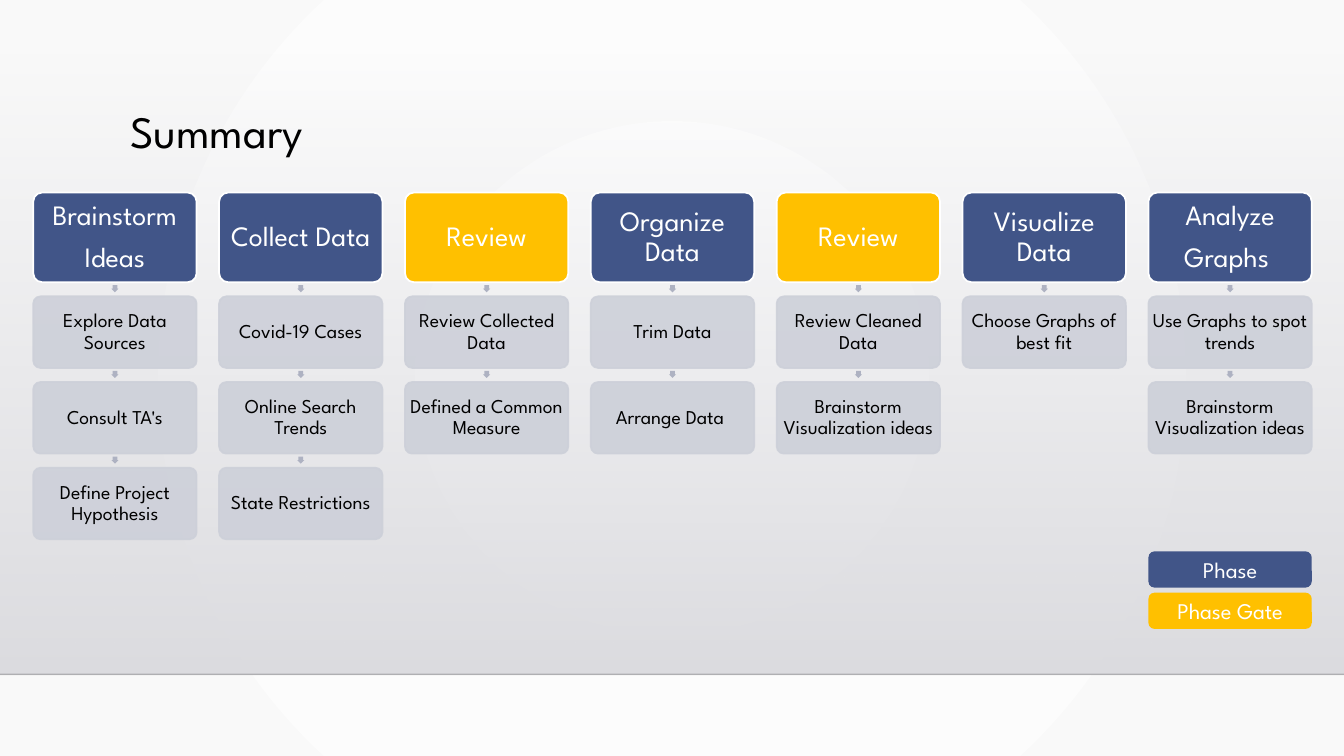
from dataclasses import dataclass

from lxml import etree
from pptx import Presentation
from pptx.dml.color import RGBColor
from pptx.enum.shapes import MSO_CONNECTOR, MSO_SHAPE
from pptx.enum.text import MSO_ANCHOR, MSO_AUTO_SIZE, PP_ALIGN
from pptx.oxml.ns import qn
from pptx.util import Inches, Pt

RECT, ROUND, ARROW = MSO_SHAPE.RECTANGLE, MSO_SHAPE.ROUNDED_RECTANGLE, MSO_SHAPE.RIGHT_ARROW
STRAIGHT = MSO_CONNECTOR.STRAIGHT
TOP, MIDDLE = MSO_ANCHOR.TOP, MSO_ANCHOR.MIDDLE
LEFT, CENTER = PP_ALIGN.LEFT, PP_ALIGN.CENTER
NO_FIT = MSO_AUTO_SIZE.NONE

FONT = "League Spartan"
BLACK = RGBColor(0x00, 0x00, 0x00)
WHITE = RGBColor(0xFF, 0xFF, 0xFF)
OFF_WHITE = RGBColor(0xF9, 0xF9, 0xF9)
MIST = RGBColor(0xDC, 0xDC, 0xE0)
HAZE = RGBColor(0xDE, 0xDE, 0xE2)
BLUE = RGBColor(0x41, 0x55, 0x88)
GOLD = RGBColor(0xFF, 0xC0, 0x00)
CARD = RGBColor(0xCD, 0xD0, 0xD9)
ARROW_GREY = RGBColor(0xAE, 0xB2, 0xC2)

# Column grid, in inches
COL_X, COL_W = 0.33, 1.62
COL_STEP = 11.06 / 6
HEAD_Y, HEAD_H = 1.91, 0.89
CARD_Y, CARD_H, CARD_STEP = 2.94, 0.71, 0.85
ARROW_SIZE, ARROW_RISE = 0.07, 0.11
LEGEND_Y, LEGEND_H, LEGEND_STEP = 5.47, 0.36, 0.41


@dataclass
class Stage:
    title: str
    steps: list[str]
    color: RGBColor = BLUE


STAGES = [
    Stage("Brainstorm\nIdeas",
          ["Explore Data Sources", "Consult TA's", "Define Project Hypothesis"]),
    Stage("Collect Data",
          ["Covid-19 Cases", "Online Search Trends", "State Restrictions"]),
    Stage("Review", ["Review Collected Data", "Defined a Common Measure"], GOLD),
    Stage("Organize Data", ["Trim Data", "Arrange Data "]),
    Stage("Review", ["Review Cleaned Data", "Brainstorm Visualization ideas"], GOLD),
    Stage("Visualize Data", ["Choose Graphs of best fit"]),
    Stage("Analyze\nGraphs ",
          ["Use Graphs to spot trends", "Brainstorm Visualization ideas"]),
]
LEGEND = [("Phase", BLUE), ("Phase Gate", GOLD)]


def write(sp, text: str, *, size: float, color=BLACK, align=CENTER, anchor=MIDDLE,
          inset=0.02, before=0.0, spacing=0.9) -> None:
    tf = sp.text_frame
    tf.word_wrap, tf.auto_size, tf.vertical_anchor = True, NO_FIT, anchor
    tf.margin_left = tf.margin_right = tf.margin_top = tf.margin_bottom = Inches(inset)
    tf.text = text
    for p in tf.paragraphs:
        p.alignment, p.line_spacing, p.space_before = align, spacing, Pt(before)
        for r in p.runs:
            r.font.name, r.font.size, r.font.color.rgb = FONT, Pt(size), color


def set_alpha(el, percent: int) -> None:
    for clr in el.iter(qn("a:srgbClr")):
        etree.SubElement(clr, qn("a:alpha"), val=str(percent * 1000))


def add_box(s, kind, x: float, y: float, w: float, h: float, fill: RGBColor, *,
            line=None, adj=None):
    sp = s.shapes.add_shape(kind, Inches(x), Inches(y), Inches(w), Inches(h))
    sp.shadow.inherit = False
    sp.fill.solid()
    sp.fill.fore_color.rgb = fill
    if line is None:
        sp.line.fill.background()
    else:
        sp.line.color.rgb, sp.line.width = line, Pt(1.25)
    if adj is not None:
        sp.adjustments[0] = adj
    return sp


def set_gradient(fill, first: RGBColor, last: RGBColor) -> None:
    fill.gradient()
    for stop, color, position in zip(fill.gradient_stops, (first, last), (0, 1)):
        stop.color.rgb, stop.position = color, position


def draw_backdrop(s) -> None:
    # Radial page background
    set_gradient(s.background.fill, WHITE, OFF_WHITE)
    grad = next(s.element.iter(qn("a:gradFill")))
    grad.remove(grad.find(qn("a:lin")))
    radial = etree.SubElement(grad, qn("a:path"), path="circle")
    etree.SubElement(radial, qn("a:fillToRect"), l="50000", t="50000", r="50000", b="50000")

    # Fading panel
    panel = add_box(s, RECT, 0, 0.51, 13.33, 6.18, MIST)
    set_gradient(panel.fill, MIST, HAZE)
    panel.fill.gradient_angle = 270
    set_alpha(next(panel.element.iter(qn("a:gs"))), 0)

    # Floor line
    floor = s.shapes.add_connector(STRAIGHT, 0, Inches(6.69), Inches(13.33), Inches(6.69))
    floor.line.color.rgb, floor.line.width = BLACK, Pt(1)
    set_alpha(floor.element, 20)
    etree.SubElement(floor.element.spPr, qn("a:effectLst"))


def draw_stage(s, x: float, stage: Stage) -> None:
    head = add_box(s, ROUND, x, HEAD_Y, COL_W, HEAD_H, stage.color, line=WHITE, adj=0.1)
    write(head, stage.title, size=20, color=WHITE, inset=0.03, before=8)
    for i, step in enumerate(stage.steps):
        y = CARD_Y + i * CARD_STEP
        arrow = add_box(s, ARROW, x + (COL_W - ARROW_SIZE) / 2, y - ARROW_RISE,
                        ARROW_SIZE, ARROW_SIZE, ARROW_GREY, adj=0.67)
        arrow.rotation = 90
        card = add_box(s, ROUND, x, y, COL_W, CARD_H, CARD, line=CARD, adj=0.1)
        set_alpha(card.element, 90)
        write(card, step, size=14, before=5)


def main() -> None:
    prs = Presentation()
    prs.slide_width, prs.slide_height = Inches(13.33), Inches(7.5)
    s = prs.slides.add_slide(prs.slide_layouts[5])
    draw_backdrop(s)

    # Title, brought in front of the backdrop
    title = s.shapes.title
    title.left, title.top = Inches(1.24), Inches(1.04)
    title.width, title.height = Inches(10.5), Inches(1.15)
    write(title, "Summary", size=32, align=LEFT, anchor=TOP, inset=0.05)
    title.element.getparent().append(title.element)

    # Process columns
    for i, stage in enumerate(STAGES):
        draw_stage(s, COL_X + i * COL_STEP, stage)

    # Legend under the last column
    for i, (label, color) in enumerate(LEGEND):
        key = add_box(s, ROUND, COL_X + 6 * COL_STEP, LEGEND_Y + i * LEGEND_STEP,
                      COL_W, LEGEND_H, color, adj=0.17)
        write(key, label, size=16, color=WHITE, spacing=1.0)

    prs.save("out.pptx")


if __name__ == "__main__":
    main()
